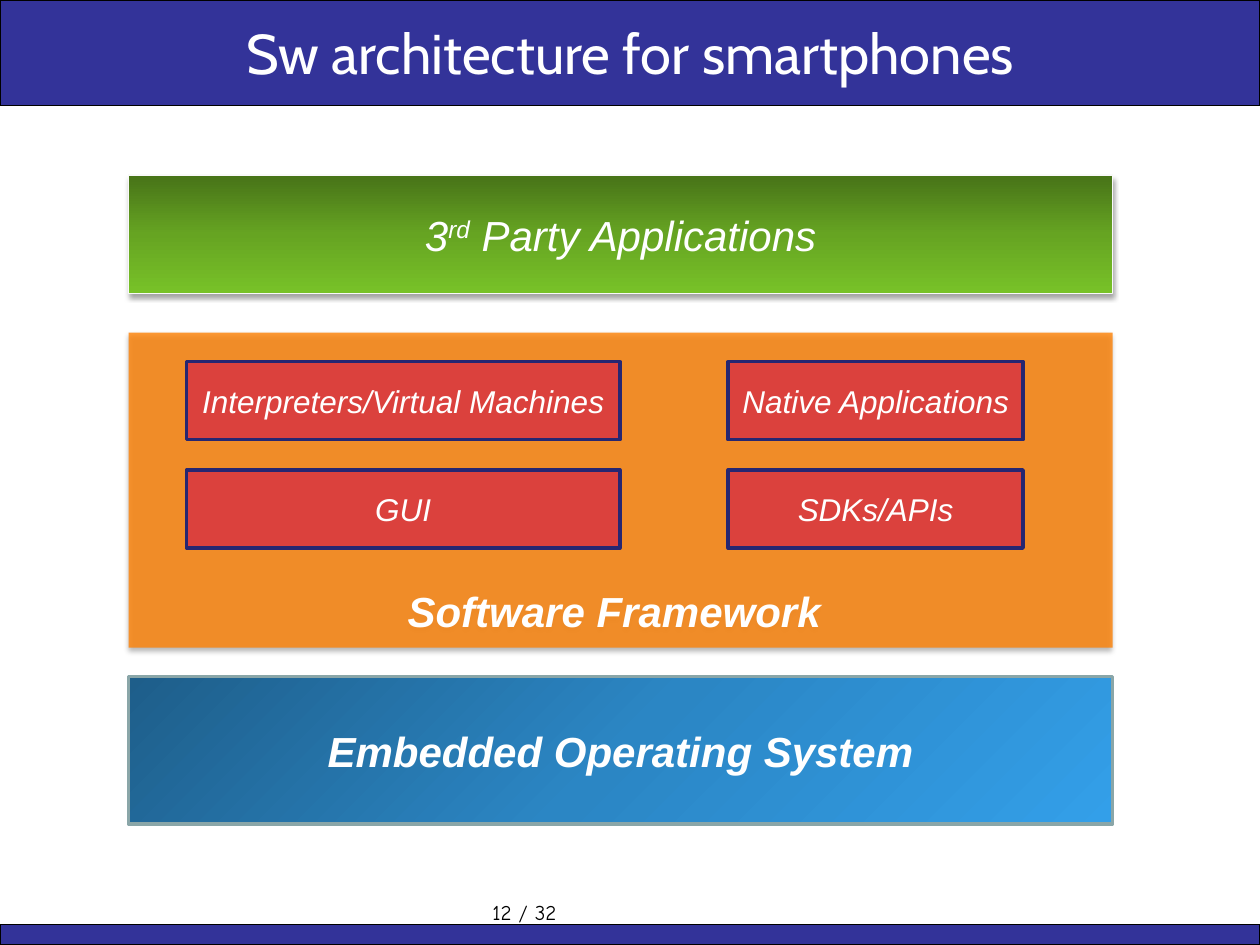
from dataclasses import dataclass
from typing import Optional

from lxml.etree import SubElement
from pptx import Presentation
from pptx.dml.color import RGBColor
from pptx.enum.shapes import MSO_SHAPE as Preset
from pptx.enum.text import MSO_ANCHOR as Anchor, PP_ALIGN as Align
from pptx.oxml.ns import qn
from pptx.util import Inches, Pt

COLORS = {
    "navy": "333399", "black": "000000", "white": "FFFFFF",
    "orange": "FF8205", "red": "DB413D", "red_edge": "262671",
    "green_edge": "F9F9F9", "blue_edge": "8AA6A8",
    "green_dark": "477318", "green_mid": "66A422", "green_light": "78C228",
    "blue_dark": "1E5E8A", "blue_mid": "2B86C4", "blue_light": "339FE9",
}


@dataclass(frozen=True)
class Gradient:
    stops: tuple[str, ...]
    angle: int


@dataclass(frozen=True)
class Block:
    left: float
    top: float
    width: float
    height: float
    fill: str | Gradient
    edge: Optional[str] = None
    edge_width: float = 0.75
    opacity: int = 100
    shadow: bool = False


def rgb(name: str) -> RGBColor:
    return RGBColor.from_string(COLORS[name])


def add_color(parent, name: str, opacity: int = 100) -> None:
    color = SubElement(parent, qn("a:srgbClr"), val=COLORS[name])
    if opacity < 100:
        SubElement(color, qn("a:alpha"), val=str(opacity * 1000))


def fill_gradient(shape, gradient: Gradient) -> None:
    shape.fill.gradient()
    shape.fill.gradient_angle = 360 - gradient.angle
    stop_list = shape._element.spPr.find(f".//{qn('a:gsLst')}")
    for stop in list(stop_list):
        stop_list.remove(stop)
    step = 100000 // (len(gradient.stops) - 1)
    for index, name in enumerate(gradient.stops):
        add_color(SubElement(stop_list, qn("a:gs"), pos=str(index * step)), name)


def add_shadow(shape) -> None:
    effects = shape._element.spPr.find(qn("a:effectLst"))
    outer = SubElement(effects, qn("a:outerShdw"), blurRad=str(Pt(3.1)),
                       dist=str(Pt(1.8)), dir="5400000", rotWithShape="0")
    add_color(outer, "black", 35)


def draw_block(shapes, block: Block):
    shape = shapes.add_shape(Preset.RECTANGLE, Inches(block.left), Inches(block.top),
                             Inches(block.width), Inches(block.height))
    shape.shadow.inherit = False
    if isinstance(block.fill, Gradient):
        fill_gradient(shape, block.fill)
    else:
        shape.fill.solid()
        shape.fill.fore_color.rgb = rgb(block.fill)
        if block.opacity < 100:
            color = shape._element.spPr.find(f"{qn('a:solidFill')}/{qn('a:srgbClr')}")
            SubElement(color, qn("a:alpha"), val=str(block.opacity * 1000))
    if block.edge:
        shape.line.color.rgb = rgb(block.edge)
        shape.line.width = Pt(block.edge_width)
    else:
        shape.line.fill.background()
    if block.shadow:
        add_shadow(shape)
    return shape


def write(shape, text: str, *, size: float, font: str = "Arial", color: str = "white",
          bold: bool = False, italic: bool = True, align=Align.CENTER,
          anchor=Anchor.MIDDLE, superscript: str = "") -> None:
    frame = shape.text_frame
    frame.word_wrap = False
    frame.vertical_anchor = anchor
    para = frame.paragraphs[0]
    para.alignment = align
    before, raised, after = text.partition(superscript) if superscript else (text, "", "")
    for part in filter(None, (before, raised, after)):
        span = para.add_run()
        span.text = part
        span.font.name = font
        span.font.size = Pt(size)
        span.font.bold = bold
        span.font.italic = italic
        span.font.color.rgb = rgb(color)
        if superscript and part == raised:
            span._r.get_or_add_rPr().set("baseline", "30000")


def add_label(page, left: float, top: float, width: float, height: float,
              text: str, **text_format) -> None:
    box = page.shapes.add_textbox(Inches(left), Inches(top), Inches(width), Inches(height))
    write(box, text, italic=False, **text_format)


def draw_framework(page, left: float, width: float) -> None:
    group = page.shapes.add_group_shape()
    panel = draw_block(group.shapes, Block(left, 2.64, width, 2.5, "orange",
                                           opacity=80, shadow=True))
    write(panel, "Software Framework", size=24, bold=True, anchor=Anchor.BOTTOM)
    panel.text_frame.margin_bottom = Inches(0.09)
    panel.text_frame.margin_right = Inches(0.2)

    columns = ((1.48, 3.44), (5.78, 2.34))
    rows = (
        (2.87, ("Interpreters/Virtual Machines", "Native Applications")),
        (3.73, ("GUI", "SDKs/APIs")),
    )
    for top, names in rows:
        for (column_left, column_width), name in zip(columns, names):
            module = draw_block(group.shapes, Block(column_left, top, column_width, 0.62,
                                                    "red", "red_edge", 2))
            write(module, name, size=18)


def main() -> None:
    deck = Presentation()
    deck.slide_width, deck.slide_height = Inches(10), Inches(7.5)
    page = deck.slides.add_slide(deck.slide_layouts[6])

    for top, height in ((0, 0.84), (7.34, 0.16)):
        draw_block(page.shapes, Block(0, top, 10, height, "navy", "black"))
    add_label(page, 3.81, 7.09, 2.33, 0.36, "12 / 32", size=12, font="Comic Neue",
              color="black", align=Align.LEFT, anchor=Anchor.TOP)
    add_label(page, 0.2, 0.07, 9.61, 0.69, "Sw architecture for smartphones",
              size=32, font="Cabin")

    left, width = 1.02, 7.81
    blue = Gradient(("blue_dark", "blue_mid", "blue_light"), 45)
    system = draw_block(page.shapes, Block(left, 5.37, width, 1.17, blue, "blue_edge", 2))
    write(system, "Embedded Operating System", size=24, bold=True)

    draw_framework(page, left, width)

    green = Gradient(("green_dark", "green_mid", "green_light"), 90)
    applications = draw_block(page.shapes, Block(left, 1.39, width, 0.94, green,
                                                 "green_edge", shadow=True))
    write(applications, "3rd Party Applications", size=24, superscript="rd")

    deck.save("out.pptx")


if __name__ == "__main__":
    main()
